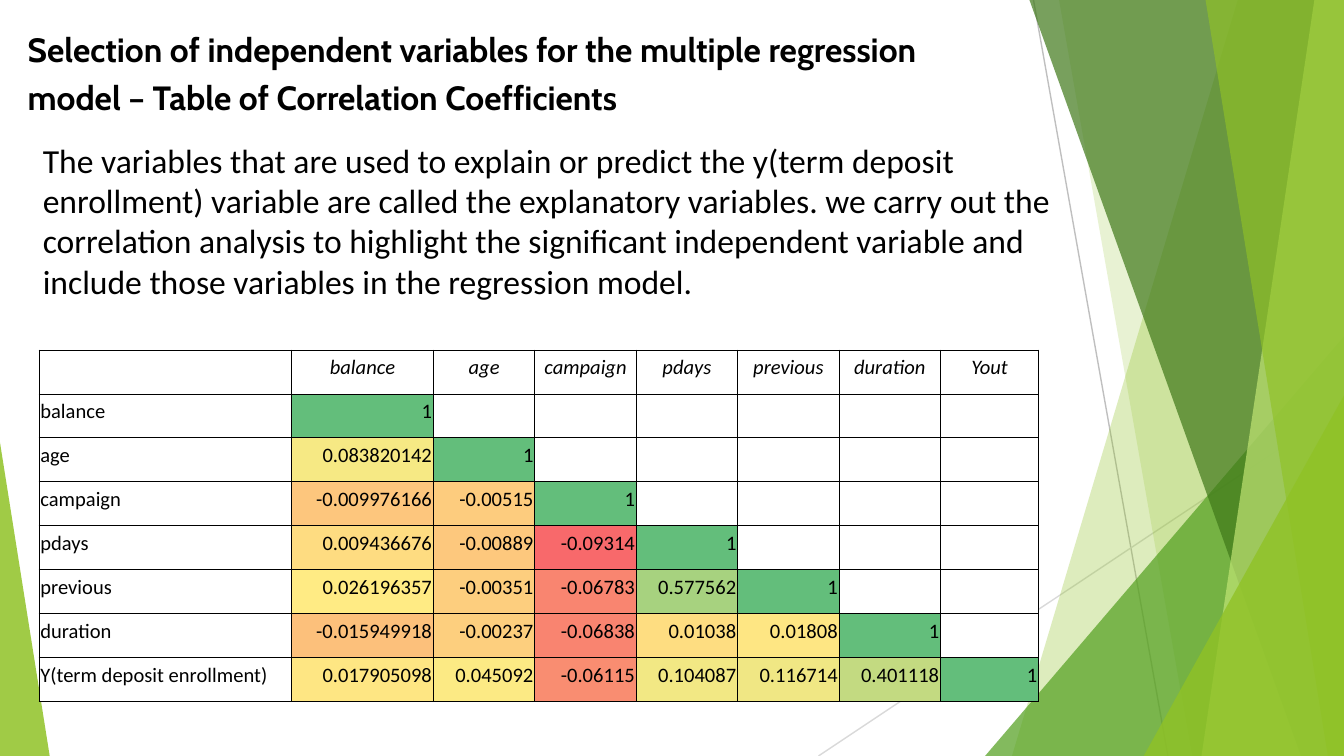
from lxml import etree
from pptx import Presentation
from pptx.dml.color import RGBColor
from pptx.enum.shapes import MSO_CONNECTOR, MSO_SHAPE
from pptx.enum.text import MSO_ANCHOR, MSO_AUTO_SIZE, PP_ALIGN
from pptx.oxml import parse_xml
from pptx.oxml.ns import nsdecls, qn
from pptx.util import Inches, Pt

STRAIGHT, TRIANGLE = MSO_CONNECTOR.STRAIGHT, MSO_SHAPE.ISOSCELES_TRIANGLE
TOP, BOTTOM = MSO_ANCHOR.TOP, MSO_ANCHOR.BOTTOM
LEFT, CENTER, RIGHT = PP_ALIGN.LEFT, PP_ALIGN.CENTER, PP_ALIGN.RIGHT
NO_AUTOFIT = MSO_AUTO_SIZE.NONE
BLACK, WHITE = RGBColor(0, 0, 0), RGBColor(255, 255, 255)
GRAY, PALE_GRAY = RGBColor(0xBF, 0xBF, 0xBF), RGBColor(0xD9, 0xD9, 0xD9)
LIME, GREEN = RGBColor(0x90, 0xC2, 0x26), RGBColor(0x54, 0xA0, 0x21)
DARK_GREEN, PALE_LIME = RGBColor(0x3F, 0x78, 0x19), RGBColor(0xC0, 0xE4, 0x74)

prs = Presentation()
# Widescreen, 16:9
prs.slide_width = Inches(10)
prs.slide_height = prs.slide_width * 9 // 16
# One percent of the slide's width and height
X, Y = prs.slide_width / 100, prs.slide_height / 100
slide = prs.slides.add_slide(prs.slide_layouts[5])
slide.background.fill.solid()
slide.background.fill.fore_color.rgb = WHITE


def paint(shape, color, opacity):
    shape.shadow.inherit = False
    shape.line.fill.background()
    shape.fill.solid()
    shape.fill.fore_color.rgb = color
    clr = shape.fill._xPr.find(qn("a:solidFill"))[0]
    etree.SubElement(clr, qn("a:alpha")).set("val", str(opacity * 1000))


def write(paragraph, text, size, font, bold=False, italic=False):
    run = paragraph.add_run()
    run.text = text
    run.font.size, run.font.name = Pt(size), font
    run.font.bold, run.font.italic = bold, italic
    run.font.color.rgb = BLACK


# Thin background lines
for x1, y1, x2, y2, color in [(76.9, 0, 86.9, 100, GRAY),
                              (100, 53.7, 60.9, 100, PALE_GRAY)]:
    ray = slide.shapes.add_connector(
        STRAIGHT, int(x1 * X), int(y1 * Y), int(x2 * X), int(y2 * Y))
    ray.line.color.rgb = color
    ray.line.width = Pt(0.75)
    etree.SubElement(ray._element.spPr, qn("a:effectLst"))

# Translucent facets: slanted bands reach the right edge, wedges sit at the bottom
BAND, WEDGE = "band", "wedge"
facets = [
    (BAND, 92.1, 75.3, LIME, 30),
    (BAND, 78.8, 88.7, LIME, 20),
    (WEDGE, (73.3, 44.5, 26.7, 1), None, GREEN, 72),
    (BAND, 76.6, 96.8, DARK_GREEN, 70),
    (BAND, 97.8, 89.4, PALE_LIME, 70),
    (BAND, 89.7, 98.8, LIME, 65),
    (WEDGE, (85.1, 52.3, 14.9, 1), None, LIME, 80),
    (WEDGE, (0, 58.5, 3.7, 0), None, LIME, 85),
]
for kind, start, foot, color, opacity in facets:
    if kind == BAND:
        outline = slide.shapes.build_freeform(int(start * X), 0)
        outline.add_line_segments(
            [(int(100 * X), 0), (int(100 * X), int(100 * Y)),
             (int(foot * X), int(100 * Y))], close=True)
        facet = outline.convert_to_shape()
    else:
        left, top, width, apex = start
        facet = slide.shapes.add_shape(
            TRIANGLE, int(left * X), int(top * Y),
            int(width * X), int((100 - top) * Y))
        facet.adjustments[0] = apex
    paint(facet, color, opacity)

# Correlation table: each row holds its lower-triangle values with heat colours
headers = ["", "balance", "age", "campaign", "pdays", "previous", "duration", "Yout"]
correlations = [
    ("balance", []),
    ("age", [("0.083820142", "F6E984")]),
    ("campaign", [("-0.009976166", "FDC67D"), ("-0.00515", "FDCC7E")]),
    ("pdays", [("0.009436676", "FEDC81"), ("-0.00889", "FDC87D"),
               ("-0.09314", "F8696B")]),
    ("previous", [("0.026196357", "FFEB84"), ("-0.00351", "FDCE7E"),
                  ("-0.06783", "F98570"), ("0.577562", "A7D27F")]),
    ("duration", [("-0.015949918", "FCC07B"), ("-0.00237", "FDCF7E"),
                  ("-0.06838", "F98470"), ("0.01038", "FEDD81"),
                  ("0.01808", "FEE683")]),
    ("Y(term deposit enrollment)", [
        ("0.017905098", "FEE683"), ("0.045092", "FCEA84"),
        ("-0.06115", "F98D71"), ("0.104087", "F2E884"),
        ("0.116714", "F0E784"), ("0.401118", "C3DA81")]),
]
DIAGONAL = ("1", "63BE7B")
column_shares = [18.8, 10.55, 7.55, 7.55, 7.55, 7.55, 7.55, 7.3]
row_share = 5.81
grid = [[(name, "FFFFFF") for name in headers]]
for label, values in correlations:
    filled = [(label, "FFFFFF"), *values, DIAGONAL]
    grid.append(filled + [("", "FFFFFF")] * (len(headers) - len(filled)))

table = slide.shapes.add_table(
    len(grid), len(headers), int(2.9 * X), int(46.3 * Y),
    int(sum(column_shares) * X), int(row_share * len(grid) * Y)).table
for column, share in zip(table.columns, column_shares):
    column.width = int(share * X)
for r, entries in enumerate(grid):
    table.rows[r].height = int(row_share * Y)
    for c, (text, color) in enumerate(entries):
        cell = table.cell(r, c)
        cell.margin_left = cell.margin_right = cell.margin_top = Inches(0.01)
        cell.margin_bottom = Inches(0.1 if text else 0)
        cell.vertical_anchor = BOTTOM
        for side in ("lnL", "lnR", "lnT", "lnB"):
            cell._tc.get_or_add_tcPr().append(parse_xml(
                f'<a:{side} {nsdecls("a")} w="6350"><a:solidFill>'
                f'<a:srgbClr val="{BLACK}"/></a:solidFill></a:{side}>'))
        cell.fill.solid()
        cell.fill.fore_color.rgb = RGBColor.from_string(color)
        if text:
            entry = cell.text_frame.paragraphs[0]
            entry.alignment = CENTER if r == 0 else RIGHT if c else LEFT
            if r == 0 or c > 0:
                entry.line_spacing = 1.15
            write(entry, text, 11, "Calibri", italic=r == 0)

# Title
title = slide.shapes.title
title.left, title.top = int(1.05 * X), int(1.25 * Y)
title.width, title.height = int(92.1 * X), int(16.5 * Y)
heading = title.text_frame
heading.word_wrap = True
heading.auto_size = NO_AUTOFIT
heading.vertical_anchor = TOP
heading.margin_left = heading.margin_right = Inches(0.1)
heading.margin_top = heading.margin_bottom = Inches(0.1)
for i, line in enumerate([
        "Selection of independent variables for the multiple regression",
        "model – Table of Correlation Coefficients"]):
    paragraph = heading.add_paragraph() if i else heading.paragraphs[0]
    paragraph.alignment = LEFT
    paragraph.line_spacing = 1.15
    paragraph.space_before = Pt(1)
    write(paragraph, line, 18, "Cabin", bold=True)

# Explanation
explanation = slide.shapes.add_textbox(
    int(2.2 * X), int(17.6 * Y), int(77.9 * X), int(28.8 * Y)).text_frame
explanation.word_wrap = True
write(explanation.paragraphs[0],
      "The variables that are used to explain or predict the y(term deposit "
      "enrollment) variable are called the explanatory variables. we carry out "
      "the correlation analysis to highlight the significant independent "
      "variable and include those variables in the regression model.",
      18, "Calibri")

prs.save("out.pptx")
